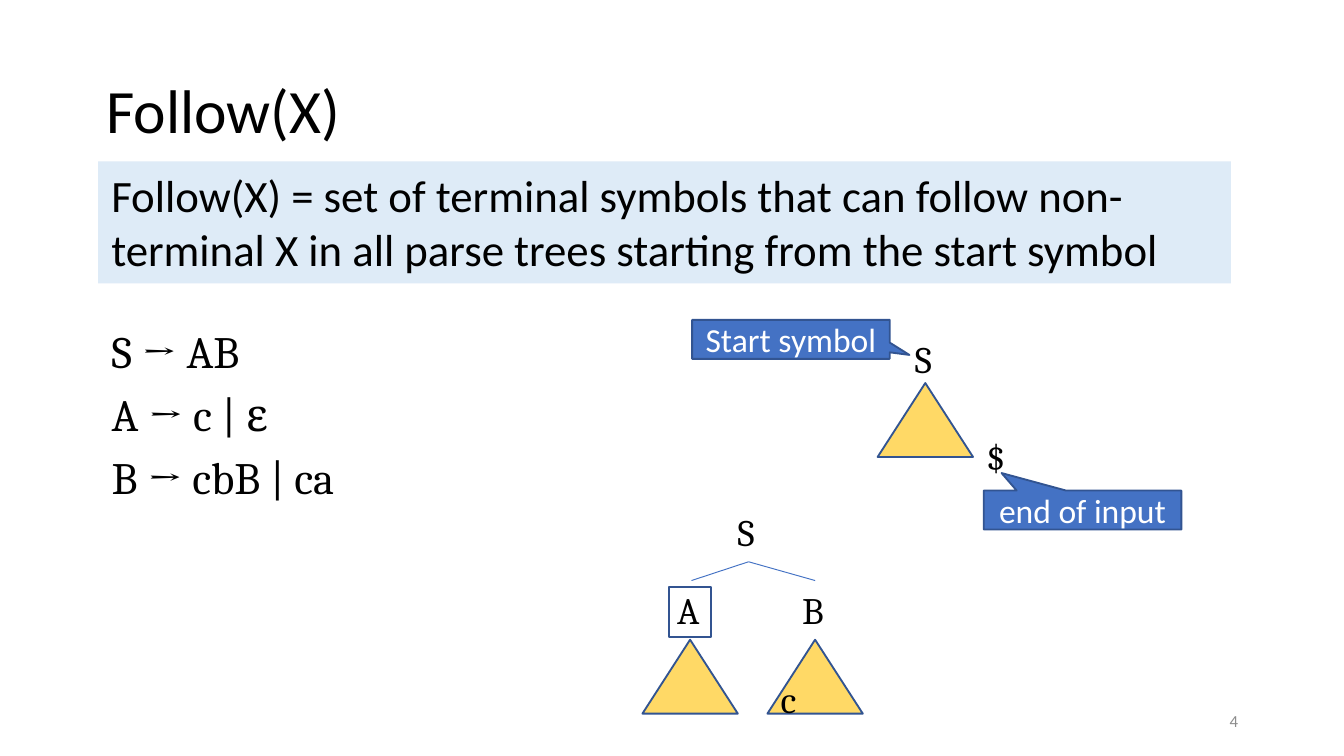
from dataclasses import dataclass

from lxml.etree import SubElement
from pptx import Presentation
from pptx.dml.color import RGBColor
from pptx.enum.shapes import MSO_CONNECTOR, MSO_SHAPE
from pptx.enum.text import MSO_ANCHOR, MSO_AUTO_SIZE, PP_ALIGN
from pptx.oxml.ns import qn
from pptx.util import Inches, Pt


@dataclass(frozen=True)
class Theme:
    sans: str = "Calibri"
    serif: str = "Cambria"
    black: str = "000000"
    white: str = "FFFFFF"
    gray: str = "8C8C8C"
    pale: str = "DEEBF7"
    blue: str = "4472C4"
    edge: str = "325491"
    gold: str = "FFD966"
    title: int = 33
    body: int = 24
    node: int = 20
    note: int = 18
    small: int = 9


@dataclass(frozen=True)
class Box:
    left: float
    top: float
    width: float
    height: float

    def lengths(self) -> tuple:
        return tuple(Inches(v) for v in (self.left, self.top, self.width, self.height))


@dataclass(frozen=True)
class Label:
    text: str
    box: Box


@dataclass(frozen=True)
class Callout:
    text: str
    box: Box
    tip: tuple[float, float]


THEME = Theme()
RULES = ("S → AB", "A → c | ε", "B → cbB | ca")
CALLOUTS = (
    Callout("end of input", Box(7.32, 3.65, 1.47, 0.29), (-0.41, -0.95)),
    Callout("Start symbol", Box(5.15, 2.38, 1.47, 0.29), (0.6, 0.4)),
)
TREES = ((6.53, 2.85), (4.78, 4.76), (5.71, 4.76))
ROOT = Label("S", Box(5.39, 3.74, 0.36, 0.44))
KIDS = (
    Label("A", Box(4.94, 4.32, 0.41, 0.44)),
    Label("B", Box(5.87, 4.32, 0.39, 0.44)),
)
LOOSE = (
    Label("S", Box(6.71, 2.45, 0.36, 0.44)),
    Label("$", Box(7.24, 3.18, 0.34, 0.44)),
    Label("c", Box(5.71, 4.98, 0.33, 0.44)),
)


def write(para, text: str, size: int, face: str, color: str = THEME.black,
          align=PP_ALIGN.LEFT) -> None:
    para.alignment = align
    run = para.add_run()
    run.text = text
    run.font.size = Pt(size)
    run.font.name = face
    run.font.color.rgb = RGBColor.from_string(color)


def place(shape, box: Box) -> None:
    shape.left, shape.top, shape.width, shape.height = box.lengths()


def draw(slide, kind, box: Box, fill: str = "", line: str = ""):
    shape = slide.shapes.add_shape(kind, *box.lengths())
    shape.shadow.inherit = False
    if fill:
        shape.fill.solid()
        shape.fill.fore_color.rgb = RGBColor.from_string(fill)
    else:
        shape.fill.background()
    if line:
        shape.line.color.rgb = RGBColor.from_string(line)
        shape.line.width = Pt(1)
    else:
        shape.line.fill.background()
    return shape


def add_label(slide, label: Label):
    shape = slide.shapes.add_textbox(*label.box.lengths())
    frame = shape.text_frame
    frame.word_wrap = False
    frame.auto_size = MSO_AUTO_SIZE.SHAPE_TO_FIT_TEXT
    write(frame.paragraphs[0], label.text, THEME.node, THEME.serif)
    return shape


def add_note(slide, note: Callout) -> None:
    shape = draw(slide, MSO_SHAPE.RECTANGULAR_CALLOUT, note.box, THEME.blue, THEME.edge)
    shape.adjustments[0], shape.adjustments[1] = note.tip
    frame = shape.text_frame
    frame.vertical_anchor = MSO_ANCHOR.MIDDLE
    write(frame.paragraphs[0], note.text, THEME.note, THEME.sans,
          THEME.white, PP_ALIGN.CENTER)


def add_branch(slide, root, kid) -> None:
    line = slide.shapes.add_connector(MSO_CONNECTOR.STRAIGHT, 0, 0, 0, 0)
    line.begin_connect(root, 2)
    line.end_connect(kid, 0)
    line.line.color.rgb = RGBColor.from_string(THEME.blue)
    line.line.width = Pt(0.5)
    SubElement(line._element.spPr, qn("a:effectLst"))


def add_rules(body) -> None:
    place(body, Box(0.73, 2.36, 2.19, 1.38))
    frame = body.text_frame
    frame.auto_size = MSO_AUTO_SIZE.NONE
    for i, rule in enumerate(RULES):
        para = frame.paragraphs[0] if i == 0 else frame.add_paragraph()
        props = para._p.get_or_add_pPr()
        props.set("marL", str(Inches(0.28)))
        props.set("indent", str(Inches(-0.28)))
        SubElement(props, qn("a:buNone"))
        para.space_before = Pt(0.2 * THEME.body if i else 0)
        write(para, rule, THEME.body, THEME.serif)


def main() -> None:
    # Widescreen page, 16:9
    deck = Presentation()
    deck.slide_width = Inches(10)
    deck.slide_height = Inches(10 * 9 / 16)
    slide = deck.slides.add_slide(deck.slide_layouts[1])

    # Title and grammar
    title = slide.shapes.title
    place(title, Box(0.69, 0.3, 8.62, 1.09))
    title.text_frame.auto_size = MSO_AUTO_SIZE.NONE
    title.text_frame.vertical_anchor = MSO_ANCHOR.MIDDLE
    head = title.text_frame.paragraphs[0]
    head.line_spacing = 0.9
    write(head, "Follow(X)", THEME.title, THEME.sans)
    add_rules(slide.placeholders[1])

    # Page number
    page = slide.shapes.add_textbox(*Box(7.06, 5.21, 2.25, 0.3).lengths()).text_frame
    page.word_wrap = True
    page.vertical_anchor = MSO_ANCHOR.MIDDLE
    write(page.paragraphs[0], "4", THEME.small, THEME.sans, THEME.gray, PP_ALIGN.RIGHT)

    # Definition
    band = draw(slide, MSO_SHAPE.RECTANGLE, Box(0.73, 1.2, 8.43, 0.91), THEME.pale)
    band.text_frame.vertical_anchor = MSO_ANCHOR.TOP
    band.text_frame.auto_size = MSO_AUTO_SIZE.SHAPE_TO_FIT_TEXT
    write(band.text_frame.paragraphs[0],
          "Follow(X) = set of terminal symbols that can follow non-terminal X "
          "in all parse trees starting from the start symbol",
          THEME.body, THEME.sans)

    # Parse trees
    for left, top in TREES:
        draw(slide, MSO_SHAPE.ISOSCELES_TRIANGLE, Box(left, top, 0.71, 0.55),
             THEME.gold, THEME.edge)
    for label in LOOSE:
        add_label(slide, label)
    root = add_label(slide, ROOT)
    for kid in KIDS:
        add_branch(slide, root, add_label(slide, kid))
    draw(slide, MSO_SHAPE.RECTANGLE, Box(4.98, 4.37, 0.31, 0.37), line=THEME.edge)

    # Callouts
    for note in CALLOUTS:
        add_note(slide, note)

    deck.save("out.pptx")


if __name__ == "__main__":
    main()
